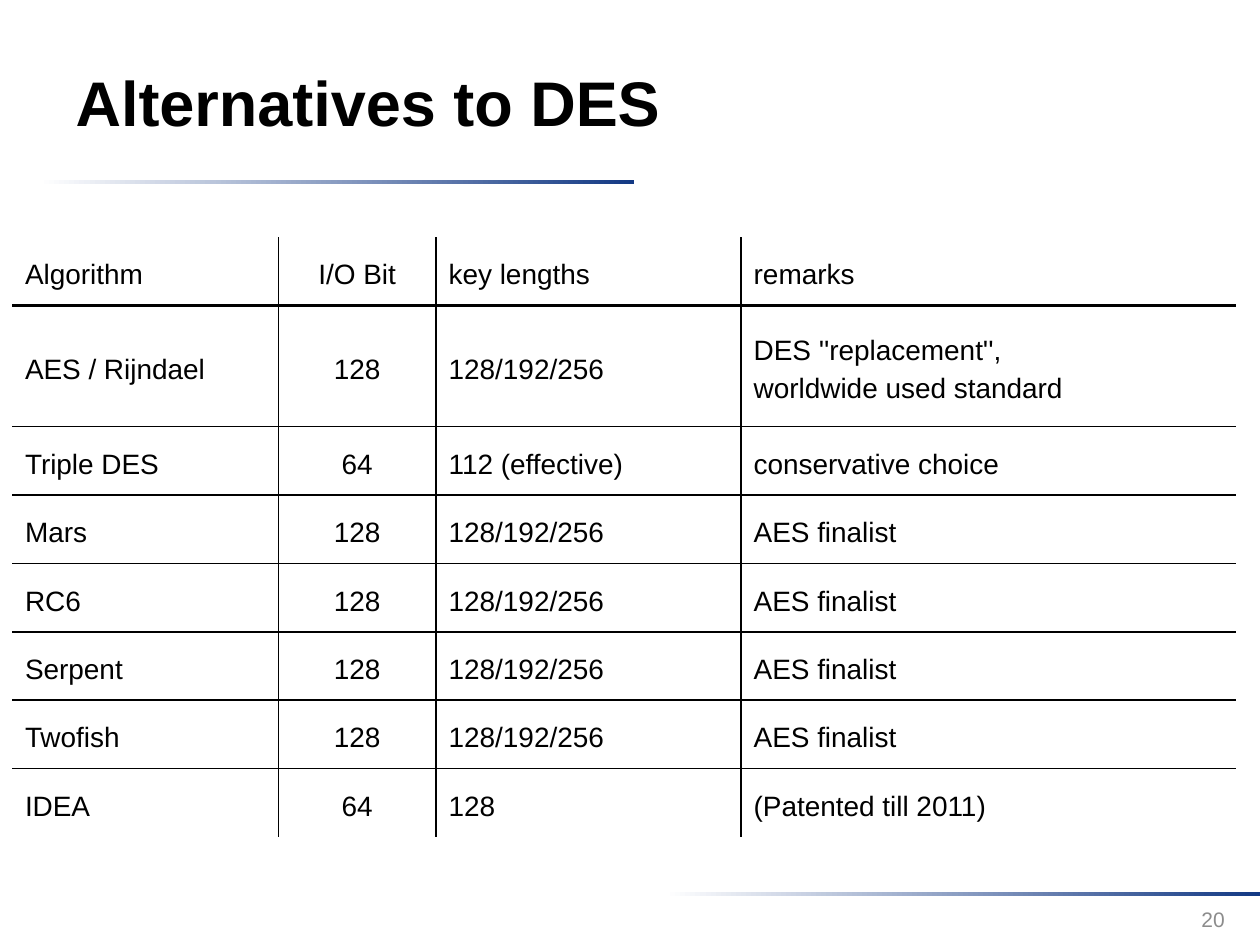
from lxml.etree import SubElement
from pptx import Presentation
from pptx.dml.color import RGBColor
from pptx.enum.shapes import MSO_SHAPE as Shape
from pptx.enum.text import MSO_ANCHOR as Anchor, PP_ALIGN as Align
from pptx.oxml import parse_xml
from pptx.oxml.ns import nsdecls, qn
from pptx.util import Cm, Pt

TITLE = "Alternatives to DES"
NUMBER = "20"
KEYS = "128/192/256"
FINAL = "AES finalist"
ROWS = [
    ("Algorithm", "I/O Bit", "key lengths", "remarks"),
    ("AES / Rijndael", "128", KEYS, "DES ''replacement'', \vworldwide used standard"),
    ("Triple DES", "64", "112 (effective)", "conservative choice"),
    ("Mars", "128", KEYS, FINAL),
    ("RC6", "128", KEYS, FINAL),
    ("Serpent", "128", KEYS, FINAL),
    ("Twofish", "128", KEYS, FINAL),
    ("IDEA", "64", "128", "(Patented till 2011)"),
]
WIDTHS = [5.36, 3.18, 6.15, 9.98]
LOW, HIGH = 1.38, 2.44
BARS = [(0.79, 3.63), (13.41, 17.98)]
BLACK, WHITE, BLUE, GRAY = "000000", "FFFFFF", "133984", "8C8C8C"
THIN, THICK = 1, 2.25


def color(code):
    return RGBColor.from_string(code)


def style(para, size, code=BLACK, bold=False, align=Align.LEFT):
    para.alignment = align
    for run in para.runs:
        font = run.font
        font.name, font.size, font.bold = "Arial", Pt(size), bold
        font.color.rgb = color(code)


def edge(cell, sides):
    """Draw the cell's sides; a width of 0 hides the line."""
    props = cell._tc.get_or_add_tcPr()
    for i, (side, width) in enumerate(sides.items()):
        line = parse_xml(f'<a:ln{side} {nsdecls("a")} w="{Pt(width)}"/>')
        if width:
            fill = SubElement(line, qn("a:solidFill"))
            SubElement(fill, qn("a:srgbClr"), val=BLACK)
        else:
            SubElement(line, qn("a:noFill"))
        props.insert(i, line)


def rule(row):
    """Width of the line above the given row."""
    if row in (0, len(ROWS)):
        return 0
    return THICK if row == 1 else THIN


def add_bar(slide, left, top):
    bar = slide.shapes.add_shape(Shape.RECTANGLE, Cm(left), Cm(top), Cm(11.99), Cm(0.08))
    bar.shadow.inherit = False
    bar.line.fill.background()
    bar.fill.gradient()
    bar.fill.gradient_angle = 0
    for stop, code in zip(bar.fill.gradient_stops, (WHITE, BLUE)):
        stop.color.rgb = color(code)


def add_grid(slide):
    highs = [HIGH if any("\v" in t for t in row) else LOW for row in ROWS]
    frame = slide.shapes.add_table(len(ROWS), len(WIDTHS), Cm(0.25), Cm(4.78),
                                   Cm(sum(WIDTHS)), Cm(sum(highs)))
    table = frame.table
    table.first_row = table.horz_banding = False
    for col, width in zip(table.columns, WIDTHS):
        col.width = Cm(width)
    for r, row in enumerate(ROWS):
        table.rows[r].height = Cm(highs[r])
        for c, text in enumerate(row):
            cell = table.cell(r, c)
            cell.fill.background()
            cell.vertical_anchor = Anchor.MIDDLE
            para = cell.text_frame.paragraphs[0]
            para.text = text
            para.line_spacing = 1.25
            para.space_before = Pt(4)
            style(para, 16, align=Align.CENTER if c == 1 else Align.LEFT)
            edge(cell, {"L": THIN if c else 0,
                        "R": THIN if c < len(row) - 1 else 0,
                        "T": rule(r), "B": rule(r + 1)})


def main():
    deck = Presentation()
    deck.slide_width, deck.slide_height = Cm(25.4), Cm(19.05)
    slide = deck.slides.add_slide(deck.slide_layouts[5])
    for left, top in BARS:
        add_bar(slide, left, top)

    title = slide.shapes.title
    title.left, title.top, title.width, title.height = Cm(1.27), Cm(0.46), Cm(19.63), Cm(3.17)
    title.text_frame.text = TITLE
    title.text_frame.vertical_anchor = Anchor.MIDDLE
    style(title.text_frame.paragraphs[0], 36, bold=True)

    box = slide.shapes.add_textbox(Cm(19.02), Cm(18.01), Cm(5.92), Cm(1.02)).text_frame
    box.word_wrap = True
    box.text = NUMBER
    box.vertical_anchor = Anchor.MIDDLE
    style(box.paragraphs[0], 12, GRAY, align=Align.RIGHT)

    add_grid(slide)
    deck.save("out.pptx")


if __name__ == "__main__":
    main()
